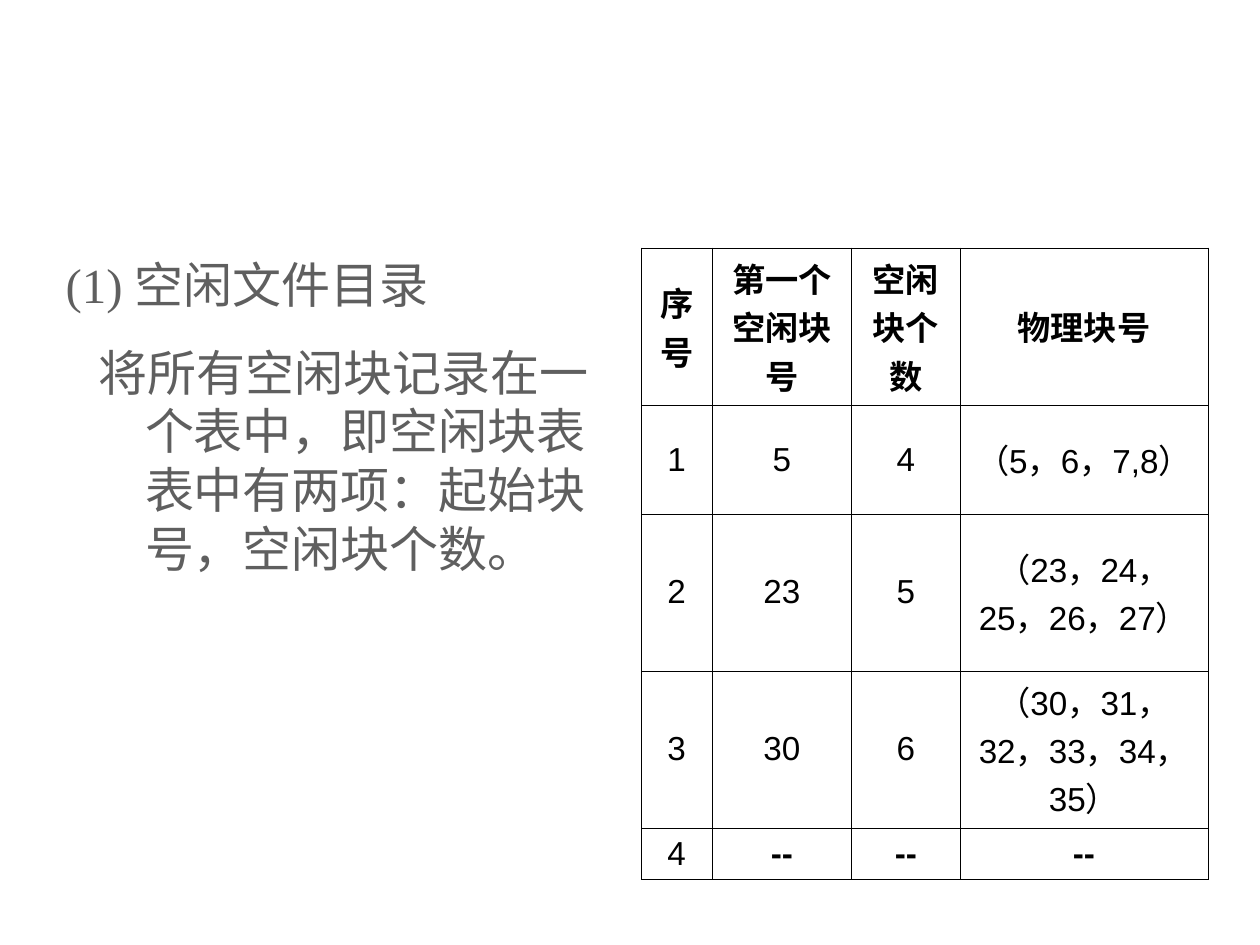
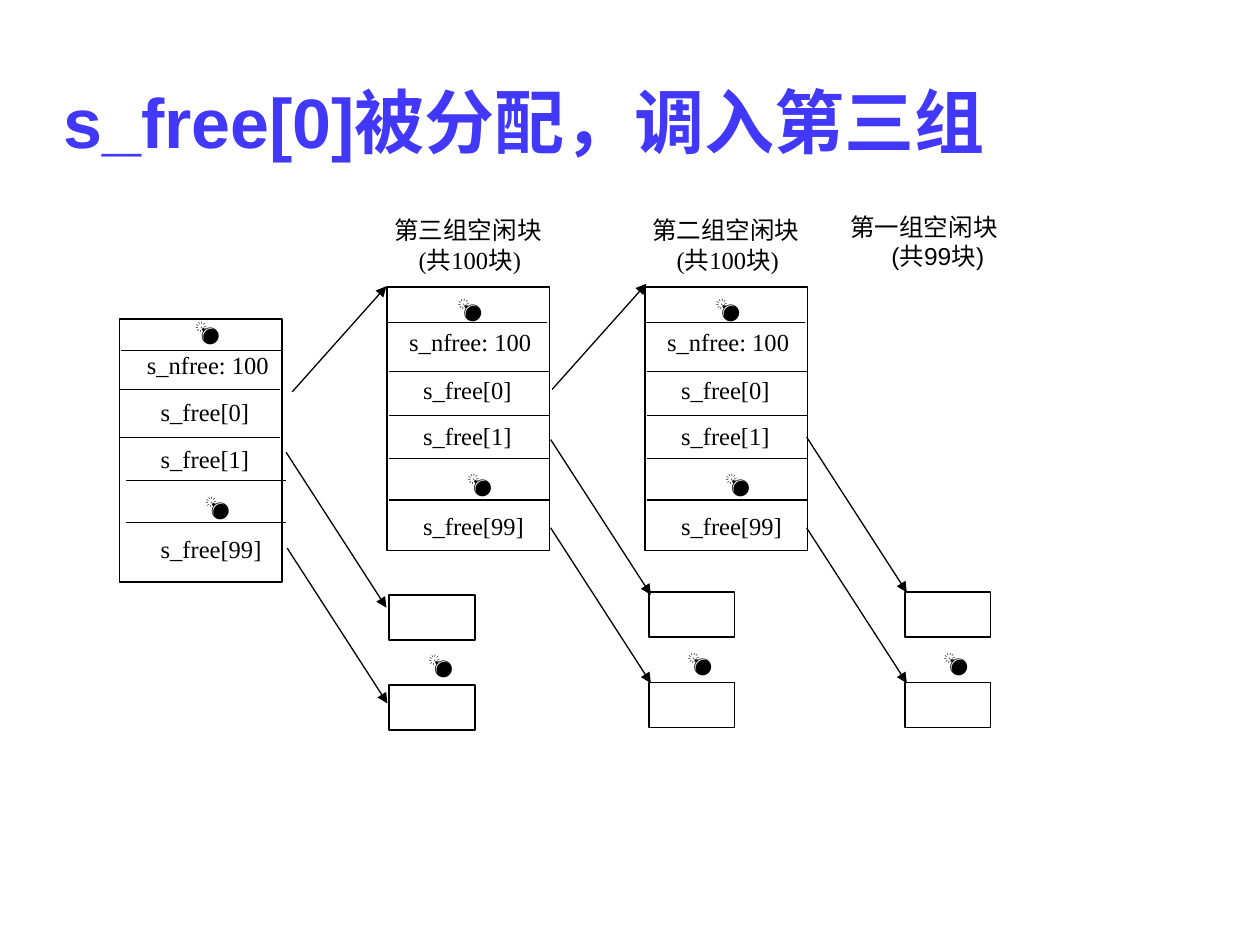
from lxml.etree import SubElement
from pptx import Presentation
from pptx.dml.color import RGBColor
from pptx.enum.shapes import MSO_CONNECTOR, MSO_SHAPE
from pptx.enum.text import MSO_ANCHOR, MSO_AUTO_SIZE, PP_ALIGN
from pptx.oxml.ns import qn
from pptx.util import Cm, Pt

# Shared look
BLACK, WHITE, GREY, BLUE = "000000", "FFFFFF", "5F5F5F", "4138FA"
SERIF, SANS, ICON = "Times New Roman", "Arial", "Calibri"
BOMB = "💣"

# Free block table
WIDTHS = [1.42, 2.82, 2.18, 5]
HEIGHTS = [2.64, 1.85, 2.64, 2.64, 1.04]
ROWS = [
    ["序号", "第一个空闲块号", "空闲块个数", "物理块号"],
    ["1", "5", "4", "（5，6，7,8）"],
    ["2", "23", "5", "（23，24，25，26，27）"],
    ["3", "30", "6", "（30，31，32，33，34，35）"],
    ["4", "--", "--", "--"],
]

# Block stack: label, font and box, relative to the stack
LABELS = [
    (BOMB, ICON, (1.17, -0.13, 1.3, 1.07)),
    ("s_nfree: 100", SERIF, (0.2, 0.56, 3.1, 1.12)),
    ("s_free[0]", SERIF, (0.48, 1.52, 2.54, 1.12)),
    ("s_free[1]", SERIF, (0.48, 2.46, 2.54, 1.12)),
    (BOMB, ICON, (1.37, 3.4, 1.3, 1.02)),
    ("s_free[99]", SERIF, (0.48, 4.27, 2.54, 1.12)),
]
RULES = [(0, 0.71), (0.05, 1.7), (0.05, 2.59), (0.05, 3.45), (0.05, 4.29)]
HEAD_RULES = [(0.03, 0.64), (0, 1.42), (0, 2.39), (0.13, 3.25), (0.13, 4.11)]

# Arrows: shared direction, own starting points
UP, DOWN = (1.9, -2.13), (2.02, 3.13)
UP_FROM = [(5.89, 7.9), (11.13, 7.85)]
DOWN_FROM = [(5.77, 9.12), (5.79, 11.05), (11.1, 8.86), (11.1, 10.64),
             (16.26, 8.81), (16.26, 10.64)]


def color(code):
    return RGBColor.from_string(code)


def style(para, size, font, code=BLACK, bold=False):
    for run in para.runs:
        run.font.size = Pt(size)
        run.font.name = font
        run.font.bold = bold
        run.font.color.rgb = color(code)


def indent(para, left, first=0):
    props = para._p.get_or_add_pPr()
    props.set("marL", str(Cm(left)))
    props.set("indent", str(Cm(first)))


def place(shape, x, y, w, h):
    shape.left, shape.top, shape.width, shape.height = map(Cm, (x, y, w, h))


def label(slide, box, lines, font, align=PP_ALIGN.JUSTIFY, wrap=True):
    frame = slide.shapes.add_textbox(*map(Cm, box)).text_frame
    frame.word_wrap = wrap
    frame.text = "\n".join(lines)
    for para in frame.paragraphs:
        para.alignment = align
        style(para, 14, font)
    return frame


def icon(slide, box, text, font):
    label(slide, box, [text], font).paragraphs[0].line_spacing = 1.2


def rect(slide, box, fill=None):
    shape = slide.shapes.add_shape(MSO_SHAPE.RECTANGLE, *map(Cm, box))
    shape.shadow.inherit = False
    if fill:
        shape.fill.solid()
        shape.fill.fore_color.rgb = color(fill)
    else:
        shape.fill.background()
    shape.line.color.rgb = color(BLACK)
    shape.line.width = Pt(1)


def line(slide, x, y, dx, dy=0, arrow=False):
    link = slide.shapes.add_connector(
        MSO_CONNECTOR.STRAIGHT, *map(Cm, (x, y, x + dx, y + dy)))
    link.line.color.rgb = color(BLACK)
    link.line.width = Pt(0.75)
    if arrow:
        SubElement(link.line._get_or_add_ln(), qn("a:tailEnd"), type="triangle")
    SubElement(link._element.spPr, qn("a:effectLst"))


def border(cell):
    props = cell._tc.get_or_add_tcPr()
    for side in ("a:lnL", "a:lnR", "a:lnT", "a:lnB"):
        edge = SubElement(props, qn(side), w=str(Pt(0.45)))
        fill = SubElement(edge, qn("a:solidFill"))
        SubElement(fill, qn("a:srgbClr"), val=BLACK)


# Slide regions
def title(slide, box, text):
    shape = slide.shapes.title
    place(shape, *box)
    frame = shape.text_frame
    frame.text = text
    frame.auto_size = MSO_AUTO_SIZE.NONE
    frame.vertical_anchor = MSO_ANCHOR.MIDDLE
    para = frame.paragraphs[0]
    para.alignment = PP_ALIGN.LEFT
    para.line_spacing = 0.9
    style(para, 40, SANS, BLUE, True)


def body(slide, box, items):
    shape = slide.placeholders[1]
    place(shape, *box)
    frame = shape.text_frame
    frame.text = "\n".join(text for text, _ in items)
    frame.auto_size = MSO_AUTO_SIZE.NONE
    for para, (_, first) in zip(frame.paragraphs, items):
        para.space_before, para.space_after = Pt(10.5), Pt(6)
        indent(para, 1.6, first)
        SubElement(para._p.get_or_add_pPr(), qn("a:buNone"))
        style(para, 28, SERIF, GREY)


def grid(slide, x, y):
    box = map(Cm, (x, y, sum(WIDTHS), sum(HEIGHTS)))
    table = slide.shapes.add_table(len(ROWS), len(WIDTHS), *box).table
    table.first_row = table.horz_banding = False
    for col, width in zip(table.columns, WIDTHS):
        col.width = Cm(width)
    for r, (row, height) in enumerate(zip(table.rows, HEIGHTS)):
        row.height = Cm(height)
        for cell, text in zip(row.cells, ROWS[r]):
            cell.text = text
            cell.vertical_anchor = MSO_ANCHOR.MIDDLE
            border(cell)
            cell.fill.background()
            para = cell.text_frame.paragraphs[0]
            para.alignment = PP_ALIGN.CENTER
            style(para, 19, SANS, bold=r == 0 or text == "--")


def stack(slide, x, y, rules=RULES, shift=(0, 0)):
    rect(slide, (x, y, 3.28, 5.31), WHITE)
    for dx, dy in rules:
        line(slide, x + dx, y + dy, 3.23)
    for text, font, (dx, dy, w, h) in LABELS:
        icon(slide, (x + dx + shift[0], y + dy + shift[1], w, h), text, font)


def group(slide, x, y, name):
    frame = label(slide, (x - 0.1, y - 1.57, 3.58, 1.47),
                  [name, "(共100块)"], SERIF)
    indent(frame.paragraphs[1], 0.49)
    stack(slide, x, y)


def blocks(slide, x, y):
    for step in (0, 1.82):
        rect(slide, (x, y + step, 1.73, 0.91))
    icon(slide, (x + 0.53, y + 0.86, 1.3, 1.02), BOMB, ICON)


# Slides
def table_slide(deck):
    slide = deck.slides.add_slide(deck.slide_layouts[1])
    head = slide.shapes.title._element
    head.getparent().remove(head)
    body(slide, (1.07, 5, 11.56, 8.66), [
        ("(1) 空闲文件目录", -1.6),
        ("将所有空闲块记录在一个表中，即空闲块表表中有两项：起始块号，空闲块个数。", -0.93),
    ])
    grid(slide, 12.93, 5)


def chain_slide(deck):
    slide = deck.slides.add_slide(deck.slide_layouts[5])
    title(slide, (1.02, 1.65, 23.32, 1.78), "s_free[0]被分配，调入第三组")
    stack(slide, 2.41, 6.43, HEAD_RULES, (0.1, -0.18))
    group(slide, 7.8, 5.79, "第三组空闲块")
    group(slide, 13, 5.79, "第二组空闲块")
    last = label(slide, (16.89, 4.14, 3.48, 2.03), ["第一组空闲块", "(共99块)"],
                 SANS, PP_ALIGN.CENTER, False)
    indent(last.paragraphs[1], 0.55)
    for x, y in [(7.85, 11.99), (13.08, 11.94), (18.24, 11.94)]:
        blocks(slide, x, y)
    for starts, way in [(UP_FROM, UP), (DOWN_FROM, DOWN)]:
        for start in starts:
            line(slide, *start, *way, arrow=True)


def main():
    deck = Presentation()
    deck.slide_width, deck.slide_height = Cm(25.4), Cm(19.05)
    table_slide(deck)
    chain_slide(deck)
    deck.save("out.pptx")


if __name__ == "__main__":
    main()
